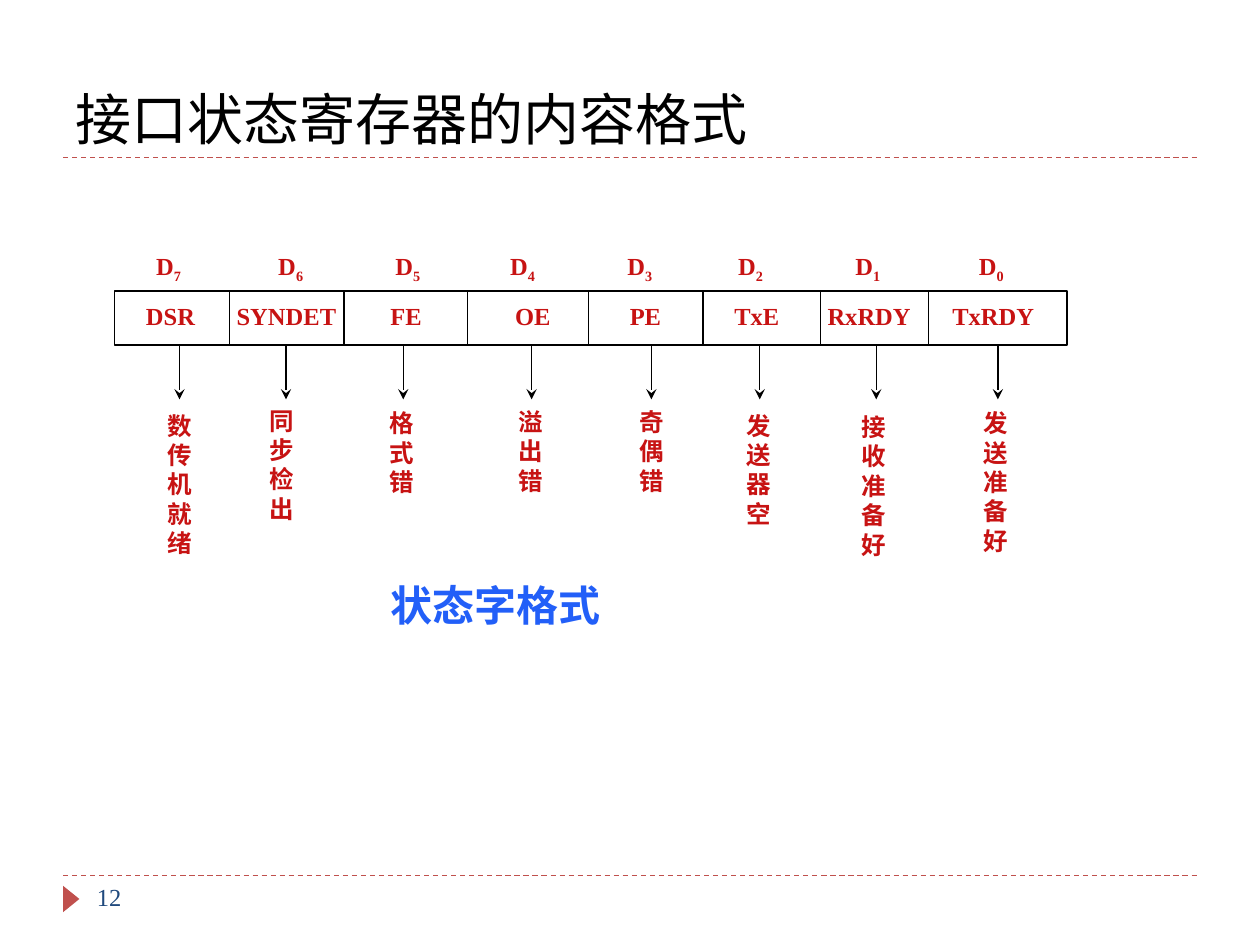
from dataclasses import dataclass

from lxml import etree
from pptx import Presentation
from pptx.dml.color import RGBColor
from pptx.enum.dml import MSO_LINE
from pptx.enum.shapes import MSO_CONNECTOR, MSO_SHAPE
from pptx.enum.text import MSO_ANCHOR, PP_ALIGN
from pptx.oxml.ns import qn
from pptx.util import Inches, Pt

STRAIGHT = MSO_CONNECTOR.STRAIGHT
RECT = MSO_SHAPE.RECTANGLE
TRIANGLE = MSO_SHAPE.ISOSCELES_TRIANGLE
DASH = MSO_LINE.DASH
TOP, BOTTOM = MSO_ANCHOR.TOP, MSO_ANCHOR.BOTTOM
LEFT, JUSTIFY = PP_ALIGN.LEFT, PP_ALIGN.JUSTIFY

WIDTH, HEIGHT = Inches(10), Inches(7.5)
COL, ROW = WIDTH / 100, HEIGHT / 75
INSET = 1


@dataclass(frozen=True)
class Theme:
    serif: str = "Times New Roman"
    sans: str = "Calibri"
    ink: str = "000000"
    red: str = "C71313"
    blue: str = "225FF8"
    navy: str = "1F497D"
    trim: str = "C0504D"
    title: int = 32
    head: int = 24
    body: int = 14
    rule: float = 0.75


THEME = Theme()

BAR_LEFT, BAR_TOP, BAR_WIDE, BAR_HIGH = 9.1, 23.1, 75.6, 4.3
BAR_END = BAR_TOP + BAR_HIGH
EDGES = [18.2, 27.3, 37.1, 46.7, 55.8, 65.1, 73.7]
BIT_STOPS = [12.4, 22.1, 31.4, 40.5, 49.8, 58.6, 67.9, 77.7]
NAME_STOPS = [11.6, 18.8, 31, 40.9, 50, 58.3, 65.7, 75.6]
NAMES = ["DSR", "SYNDET", "FE", "OE", "PE", "TxE", "RxRDY", "TxRDY"]
ARROWS = [14.25, 22.7, 32, 42.2, 51.7, 60.3, 69.55, 79.2]
NOTES = [
    ("数传机就绪", 12.3, 32.1),
    ("同步检出", 20.4, 31.7),
    ("格式错", 29.9, 31.9),
    ("溢出错", 40.2, 31.8),
    ("奇偶错", 49.8, 31.8),
    ("发送器空", 58.3, 32.1),
    ("接收准备好", 67.4, 32.2),
    ("发送准备好", 77.1, 31.9),
]


def place(x, y):
    return round(x * COL), round(y * ROW)


def style(run, size, color, bold, face):
    font = run.font
    font.size, font.bold, font.name = Pt(size), bold, face
    font.color.rgb = RGBColor.from_string(color)


def frame(slide, x, y, wide, high, anchor=TOP, align=JUSTIFY):
    box = slide.shapes.add_textbox(*place(x, y), *place(wide, high))
    text = box.text_frame
    text.word_wrap = True
    text.vertical_anchor = anchor
    para = text.paragraphs[0]
    para.alignment = align
    return para


def label(slide, words, area, size=THEME.body, color=THEME.red,
          bold=True, face=THEME.serif, **kind):
    para = frame(slide, *area, **kind)
    para.text = words
    style(para.runs[0], size, color, bold, face)


def row(slide, cells, stops, y, wide):
    para = frame(slide, stops[0] - INSET, y, wide, 6.8, align=LEFT)
    tabs = etree.SubElement(para._p.get_or_add_pPr(), qn("a:tabLst"))
    for stop in stops[1:]:
        pos = round((stop - stops[0]) * COL)
        etree.SubElement(tabs, qn("a:tab"), pos=str(pos), algn="l")
    for index, (main, sub) in enumerate(cells):
        lead = "\t" if index else ""
        for words, low in ((lead + main, False), (sub, True)):
            if words:
                run = para.add_run()
                run.text = words
                style(run, THEME.body, THEME.red, True, THEME.serif)
                if low:
                    run._r.get_or_add_rPr().set("baseline", "-25000")


def line(slide, x, y, right, low, color=THEME.ink, dash=None, head=False):
    link = slide.shapes.add_connector(
        STRAIGHT, *place(x, y), *place(right, low))
    link.line.width = Pt(THEME.rule)
    link.line.color.rgb = RGBColor.from_string(color)
    if dash:
        link.line.dash_style = dash
    if head:
        etree.SubElement(link.line._get_or_add_ln(), qn("a:tailEnd"),
                         type="stealth")
    etree.SubElement(link._element.spPr, qn("a:effectLst"))


def shape(slide, kind, x, y, wide, high, fill=None, edge=None, turn=0):
    item = slide.shapes.add_shape(kind, *place(x, y), *place(wide, high))
    item.shadow.inherit = False
    item.rotation = turn
    if fill:
        item.fill.solid()
        item.fill.fore_color.rgb = RGBColor.from_string(fill)
    else:
        item.fill.background()
    if edge:
        item.line.color.rgb = RGBColor.from_string(edge)
        item.line.width = Pt(THEME.rule)
    else:
        item.line.fill.background()


def trim(slide):
    for y in (69.5, 12.5):
        line(slide, 5, y, 95, y, THEME.trim, DASH)
    shape(slide, TRIANGLE, 4.6, 70.7, 2.1, 1.3, fill=THEME.trim, turn=90)
    label(slide, "接口状态寄存器的内容格式", (5, 1.7, 90, 10.8), THEME.title,
          THEME.ink, False, THEME.sans, anchor=BOTTOM, align=LEFT)
    label(slide, "12", (6.7, 69.5, 21.7, 4), color=THEME.navy,
          bold=False, align=LEFT)


def word(slide):
    label(slide, "状态字格式", (30, 45.5, 31.9, 6.3), THEME.head, THEME.blue)
    bits = [("D", str(bit)) for bit in range(7, -1, -1)]
    row(slide, bits, BIT_STOPS, 19.4, 76)
    shape(slide, RECT, BAR_LEFT, BAR_TOP, BAR_WIDE, BAR_HIGH, edge=THEME.ink)
    for x in EDGES:
        line(slide, x, BAR_TOP, x, BAR_END)
    row(slide, [(name, "") for name in NAMES], NAME_STOPS, 23.4, 84.4)
    for x in ARROWS:
        line(slide, x, BAR_END, x, BAR_END + BAR_HIGH, head=True)
    for words, x, y in NOTES:
        label(slide, words, (x, y, 3.9, 22.3))


def main():
    deck = Presentation()
    deck.slide_width, deck.slide_height = WIDTH, HEIGHT
    slide = deck.slides.add_slide(deck.slide_layouts[6])
    trim(slide)
    word(slide)
    deck.save("out.pptx")


if __name__ == "__main__":
    main()
